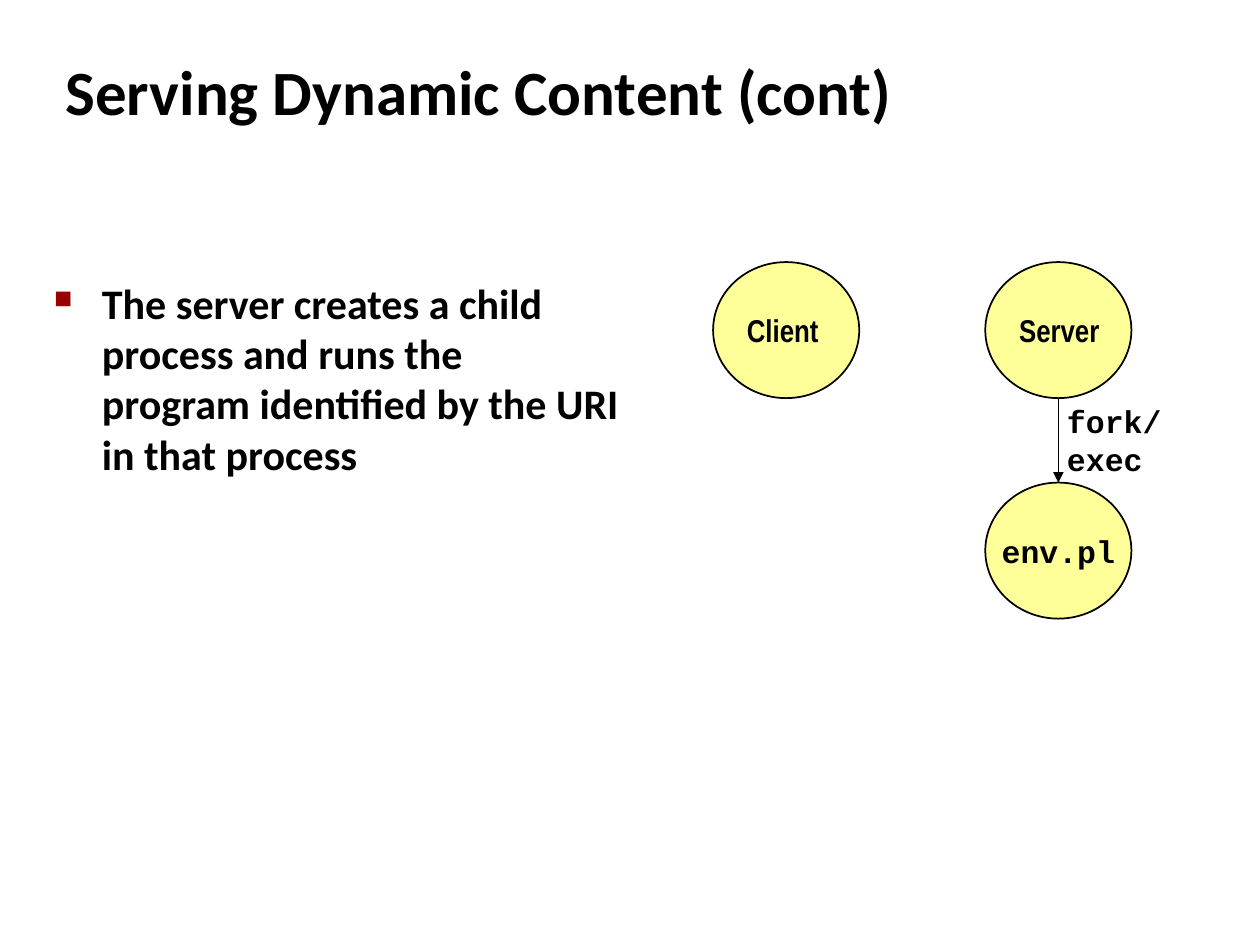
from dataclasses import dataclass

from lxml import etree
from pptx import Presentation
from pptx.dml.color import RGBColor
from pptx.enum.shapes import MSO_CONNECTOR, MSO_SHAPE
from pptx.enum.text import MSO_ANCHOR, PP_ALIGN
from pptx.oxml.ns import qn
from pptx.util import Inches, Pt

ELLIPSE = MSO_SHAPE.OVAL
STRAIGHT = MSO_CONNECTOR.STRAIGHT
TOP, MIDDLE = MSO_ANCHOR.TOP, MSO_ANCHOR.MIDDLE
LEFT, CENTER = PP_ALIGN.LEFT, PP_ALIGN.CENTER


@dataclass(frozen=True)
class Theme:
    ink: RGBColor = RGBColor(0x00, 0x00, 0x00)
    node: RGBColor = RGBColor(0xFF, 0xFF, 0x99)
    bullet: str = "990000"
    text_font: str = "Calibri"
    label_font: str = "Arial Narrow"
    code_font: str = "Courier New"
    title_size: Pt = Pt(36)
    body_size: Pt = Pt(24)
    label_size: Pt = Pt(18)
    line_width: Pt = Pt(1)


theme = Theme()


def set_text(shape, text, font, size, anchor, align=LEFT, wrap=True):
    """Fill a shape with one bold paragraph and return the paragraph."""
    tf = shape.text_frame
    tf.text = text
    tf.word_wrap = wrap
    tf.vertical_anchor = anchor
    p = tf.paragraphs[0]
    p.alignment = align
    for r in p.runs:
        r.font.name = font
        r.font.size = size
        r.font.bold = True
        r.font.color.rgb = theme.ink
    return p


def set_indent(p, indent):
    """Give a paragraph a hanging indent and return its properties."""
    pPr = p._p.get_or_add_pPr()
    pPr.set("marL", str(Inches(indent)))
    pPr.set("indent", str(Inches(-indent)))
    return pPr


prs = Presentation()
prs.slide_width, prs.slide_height = Inches(10), Inches(7.5)
s = prs.slides.add_slide(prs.slide_layouts[5])

# Title
title = s.shapes.title
title.left, title.top = Inches(0.42), Inches(0.37)
title.width, title.height = Inches(8.5), Inches(0.63)
p = set_text(title, "Serving Dynamic Content (cont)",
             theme.text_font, theme.title_size, TOP)
set_indent(p, 0.13)

# Bulleted statement
body = s.shapes.add_textbox(Inches(0.33), Inches(2.15), Inches(4.69), Inches(2.07))
p = set_text(body, "The server creates a child process and runs the program "
             "identified by the URI in that process",
             theme.text_font, theme.body_size, TOP)
pPr = set_indent(p, 0.38)
color = etree.SubElement(pPr, qn("a:buClr"))
etree.SubElement(color, qn("a:srgbClr"), val=theme.bullet)
etree.SubElement(pPr, qn("a:buSzPct"), val="60000")
etree.SubElement(pPr, qn("a:buChar"), char="■")

# Process nodes
node_w, node_h = 1.16, 1.08
server_x, server_y, child_y = 7.82, 2.08, 3.83
nodes = [
    ("Client", 5.66, server_y, theme.label_font, LEFT),
    ("Server", server_x, server_y, theme.label_font, LEFT),
    ("env.pl", server_x, child_y, theme.code_font, CENTER),
]
for name, x, y, font, align in nodes:
    sp = s.shapes.add_shape(ELLIPSE, Inches(x), Inches(y), Inches(node_w), Inches(node_h))
    sp.shadow.inherit = False
    sp.fill.solid()
    sp.fill.fore_color.rgb = theme.node
    sp.line.color.rgb = theme.ink
    sp.line.width = theme.line_width
    set_text(sp, name, font, theme.label_size, MIDDLE, align, wrap=False)

# Arrow from the server down to its child process
center_x = Inches(server_x + node_w / 2)
arrow = s.shapes.add_connector(STRAIGHT, center_x, Inches(server_y + node_h),
                               center_x, Inches(child_y))
arrow.line.color.rgb = theme.ink
arrow.line.width = theme.line_width
etree.SubElement(arrow.line._get_or_add_ln(), qn("a:tailEnd"), type="triangle")
etree.SubElement(arrow._element.spPr, qn("a:effectLst"))

# Arrow label
label = s.shapes.add_textbox(Inches(8.37), Inches(3.29), Inches(1.5), Inches(0.4))
set_text(label, "fork/exec", theme.code_font, theme.label_size, MIDDLE)

prs.save("out.pptx")
